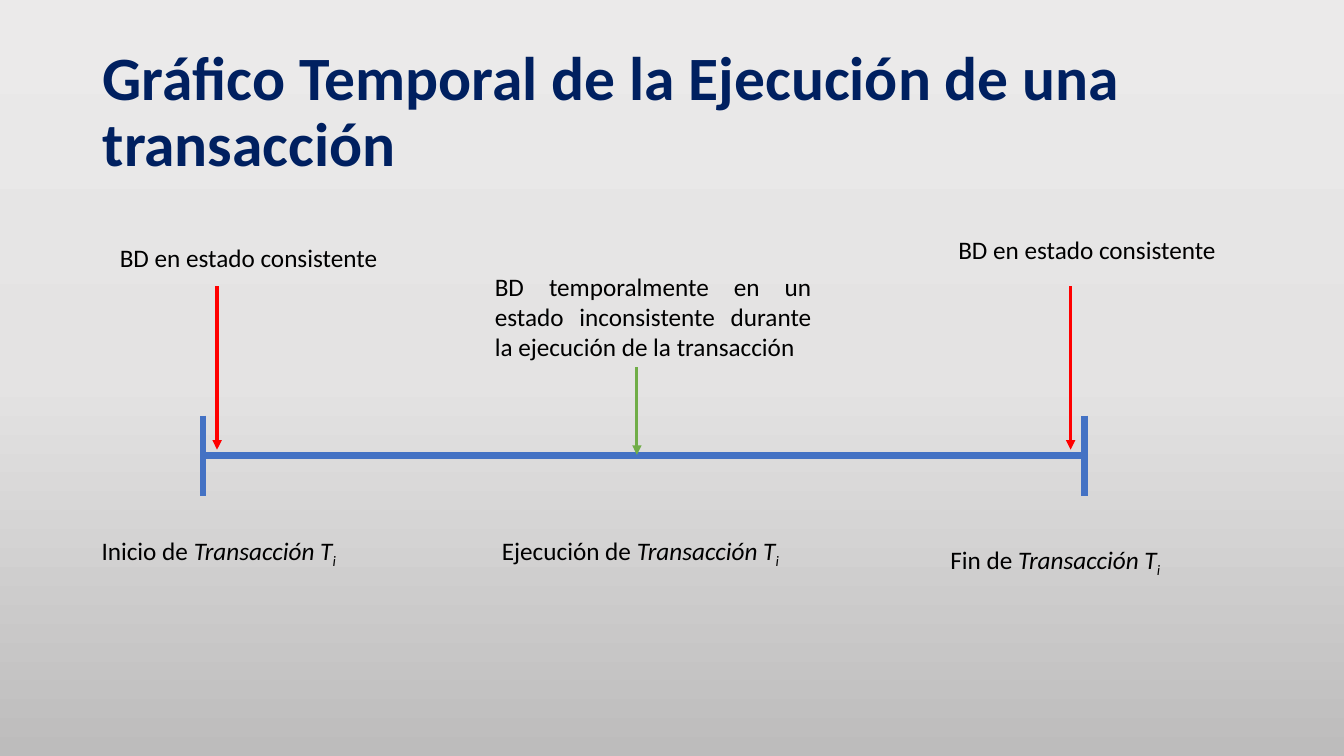
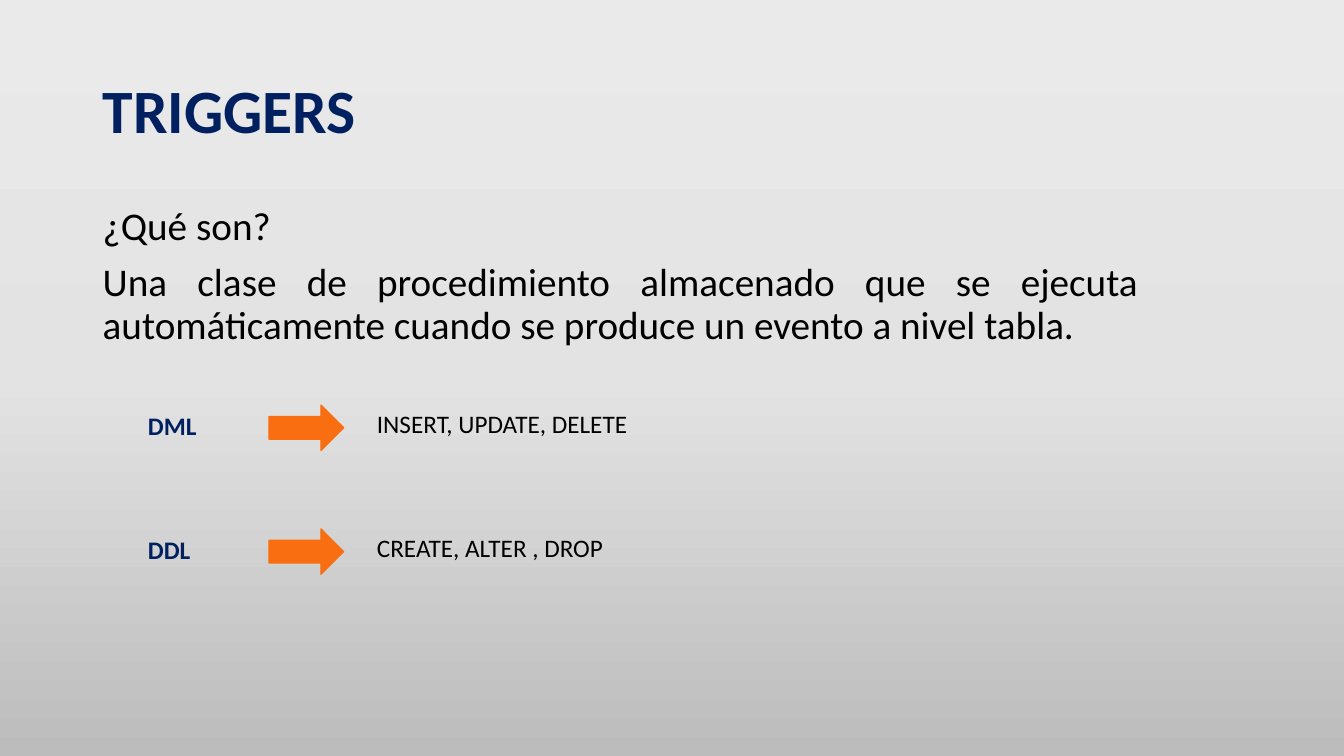
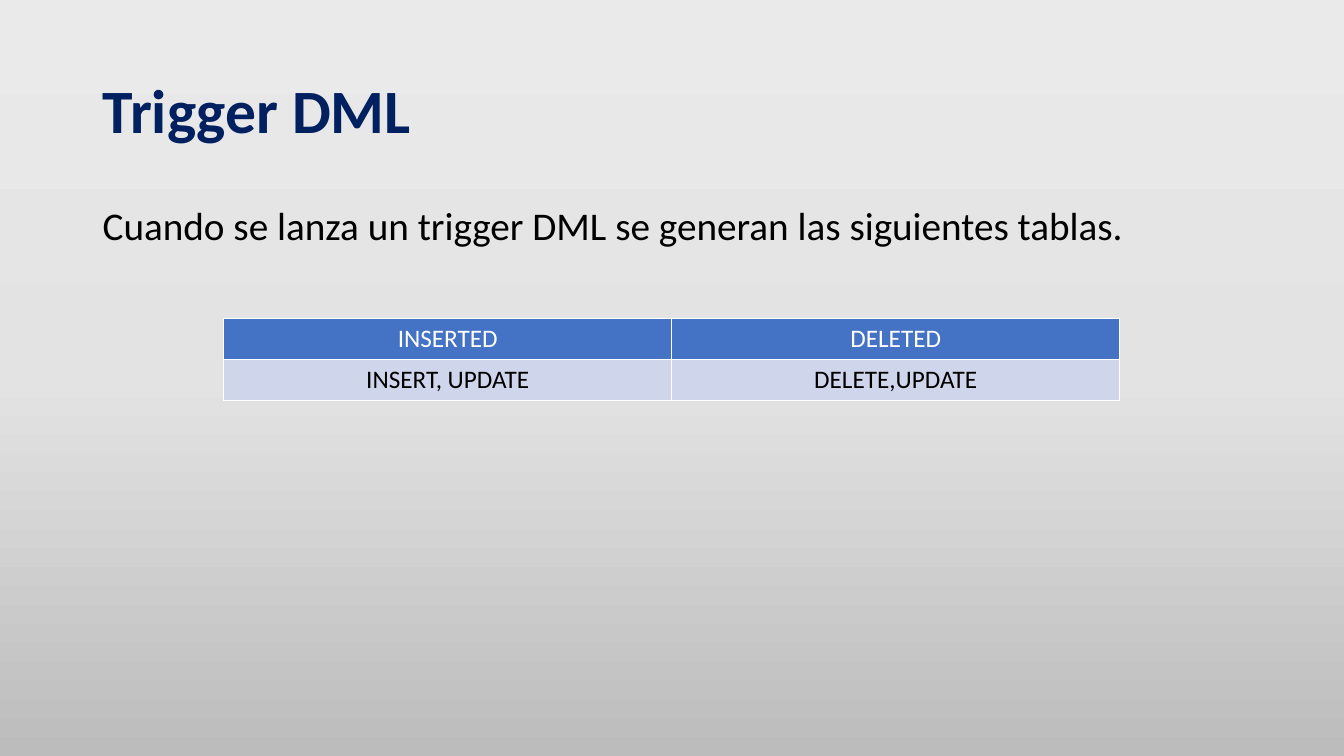
from copy import deepcopy

from lxml import etree
from pptx import Presentation
from pptx.dml.color import RGBColor
from pptx.enum.shapes import MSO_CONNECTOR, MSO_SHAPE
from pptx.enum.text import MSO_ANCHOR, PP_ALIGN
from pptx.oxml.ns import qn
from pptx.util import Cm, Pt

STRAIGHT = MSO_CONNECTOR.STRAIGHT
RIGHT_ARROW = MSO_SHAPE.RIGHT_ARROW
TOP, MIDDLE = MSO_ANCHOR.TOP, MSO_ANCHOR.MIDDLE
LEFT, CENTER, JUSTIFY = PP_ALIGN.LEFT, PP_ALIGN.CENTER, PP_ALIGN.JUSTIFY

FONT = "Calibri"
NAVY, BLUE, PALE_BLUE = "002060", "4472C4", "CFD5EA"
RED, GREEN, ORANGE = "FF0000", "70AD47", "F86E10"
BLACK, WHITE = "000000", "FFFFFF"
BACKGROUND = [(0, "EBEAEA"), (0.5, "E4E3E3"), (1, "BDBCBC")]
MARGIN, CONTENT_WIDTH = 2.34, 29.21


def rgb(color):
    return RGBColor.from_string(color)


def write(frame, paragraphs, size=18, color=BLACK, bold=False, align=LEFT,
          anchor=TOP, wrap=True, line_spacing=None, space_before=None):
    """Fill a frame; a paragraph is a string or a list of (text, style) runs."""
    frame.word_wrap = wrap
    frame.vertical_anchor = anchor
    for index, content in enumerate(paragraphs):
        paragraph = frame.paragraphs[0] if index == 0 else frame.add_paragraph()
        paragraph.alignment = align
        paragraph.line_spacing = line_spacing
        paragraph.space_before = space_before
        runs = [(content, "")] if isinstance(content, str) else content
        for text, style in runs:
            run = paragraph.add_run()
            run.text = text
            font = run.font
            font.name, font.size, font.bold = FONT, Pt(size), bold
            font.color.rgb = rgb(color)
            if style:
                font.italic = True
            if style == "subscript":
                font._element.set("baseline", "-25000")


def add_text(slide, left, top, width, height, *paragraphs, **style):
    box = slide.shapes.add_textbox(Cm(left), Cm(top), Cm(width), Cm(height))
    write(box.text_frame, paragraphs, **style)
    return box


def add_line(slide, x1, y1, x2, y2, color, weight, arrow=False):
    line = slide.shapes.add_connector(STRAIGHT, Cm(x1), Cm(y1), Cm(x2), Cm(y2))
    line.line.color.rgb = rgb(color)
    line.line.width = Pt(weight)
    properties = line._element.spPr
    if arrow:
        outline = properties.find(qn("a:ln"))
        etree.SubElement(outline, qn("a:tailEnd")).set("type", "triangle")
    etree.SubElement(properties, qn("a:effectLst"))


def set_background(master):
    fill = master.background.fill
    fill.gradient()
    fill.gradient_angle = 270
    stops = master.element.find(".//" + qn("a:gsLst"))
    stops.append(deepcopy(stops[-1]))
    for stop, (position, color) in zip(fill.gradient_stops, BACKGROUND):
        stop.position = position
        stop.color.rgb = rgb(color)


def add_titled_slide(prs, title):
    slide = prs.slides.add_slide(prs.slide_layouts[6])
    add_text(slide, MARGIN, 1.02, CONTENT_WIDTH, 3.68, title, size=44,
             color=NAVY, bold=True, anchor=MIDDLE, line_spacing=0.9)
    return slide


def add_body(slide, *paragraphs, width=CONTENT_WIDTH):
    box = add_text(slide, MARGIN, 5.08, width, 12.09, *paragraphs, size=28,
                   line_spacing=0.9, space_before=Pt(10))
    return box.text_frame.paragraphs


def add_timeline(slide, left, axis, width):
    """Draw the axis with end ticks; the moments are offset from its left end."""
    add_line(slide, left, axis, left + width, axis, BLUE, 4.5)
    for end in (left, left + width):
        add_line(slide, end, axis - 1.01, end, axis + 1.01, BLUE, 4.5)

    consistent = "BD en estado consistente"
    inconsistent = ("BD temporalmente en un estado inconsistente durante "
                    "la ejecución de la transacción")
    moments = [
        (consistent, (-2.34, -5.51, 7.62, 1.02), LEFT,
         (0.36, -4.27, -0.15), RED, "Inicio de", (-2.8, 1.88)),
        (inconsistent, (7.11, -4.77, 8.48, 2.57), JUSTIFY,
         (10.94, -2.23, -0.02), GREEN, "Ejecución de", (7.29, 1.88)),
        (consistent, (18.79, -5.69, 7.62, 1.02), LEFT,
         (21.87, -4.27, -0.15), RED, "Fin de", (18.59, 2.11)),
    ]
    for state, state_box, align, arrow, color, phase, phase_at in moments:
        x, y, state_width, state_height = state_box
        add_text(slide, left + x, axis + y, state_width, state_height, state,
                 align=align)
        x, start, tip = arrow
        add_line(slide, left + x, axis + start, left + x, axis + tip, color,
                 2.25, arrow=True)
        x, y = phase_at
        add_text(slide, left + x, axis + y, 7.62, 1.02,
                 [(phase, ""), (" Transacción T", "italic"), ("i", "subscript")])


def add_trigger_kind(slide, left, top, kind, kind_width, commands, commands_width):
    add_text(slide, left, top, kind_width, 1.8, kind, color=NAVY, bold=True,
             wrap=False)
    arrow = slide.shapes.add_shape(RIGHT_ARROW, Cm(left + 3.3), Cm(top),
                                   Cm(1.88), Cm(1.14))
    arrow.shadow.inherit = False
    arrow.fill.solid()
    arrow.fill.fore_color.rgb = rgb(ORANGE)
    arrow.line.color.rgb = rgb(ORANGE)
    arrow.line.width = Pt(1)
    add_text(slide, left + 5.77, top - 0.04, commands_width, 1.02, commands,
             wrap=False)


def set_cell_borders(cell, color, weight):
    properties = cell._tc.get_or_add_tcPr()
    for side in ("a:lnL", "a:lnR", "a:lnT", "a:lnB"):
        border = etree.SubElement(properties, qn(side))
        border.set("w", str(Pt(weight)))
        fill = etree.SubElement(border, qn("a:solidFill"))
        etree.SubElement(fill, qn("a:srgbClr")).set("val", color)


def add_trigger_table(slide, left, top, width, height, rows):
    table = slide.shapes.add_table(len(rows), len(rows[0]), Cm(left), Cm(top),
                                   Cm(width), Cm(height)).table
    for row_index, row in enumerate(rows):
        fill, color = (BLUE, WHITE) if row_index == 0 else (PALE_BLUE, BLACK)
        for column_index, text in enumerate(row):
            cell = table.cell(row_index, column_index)
            set_cell_borders(cell, WHITE, 1)
            cell.fill.solid()
            cell.fill.fore_color.rgb = rgb(fill)
            write(cell.text_frame, [text], color=color, align=CENTER)


def build_transaction_slide(prs):
    slide = add_titled_slide(
        prs, "Gráfico Temporal de la Ejecución de una transacción")
    add_timeline(slide, 5.11, 11.48, 22.22)


def build_triggers_slide(prs):
    slide = add_titled_slide(prs, "TRIGGERS")
    question, definition = add_body(
        slide, "¿Qué son?",
        "Una clase de procedimiento almacenado que se ejecuta "
        "automáticamente cuando se produce un evento a nivel tabla.",
        width=26.59)
    definition.alignment = JUSTIFY
    kinds = [("DML", 1.75, "INSERT, UPDATE, DELETE", 6.88),
             ("DDL", 1.6, "CREATE, ALTER , DROP", 6.27)]
    for index, kind in enumerate(kinds):
        add_trigger_kind(slide, 3.48, 10.21 + 3.12 * index, *kind)


def build_dml_slide(prs):
    slide = add_titled_slide(prs, "Trigger DML")
    add_body(slide, "Cuando se lanza un trigger DML se generan las siguientes tablas.")
    add_trigger_table(slide, 5.64, 8.03, 22.58, 2.06,
                      [("INSERTED", "DELETED"),
                       ("INSERT, UPDATE", "DELETE,UPDATE")])


def main():
    prs = Presentation()
    prs.slide_width, prs.slide_height = Cm(33.87), Cm(19.05)
    set_background(prs.slide_master)
    build_transaction_slide(prs)
    build_triggers_slide(prs)
    build_dml_slide(prs)
    prs.save("out.pptx")


if __name__ == "__main__":
    main()
